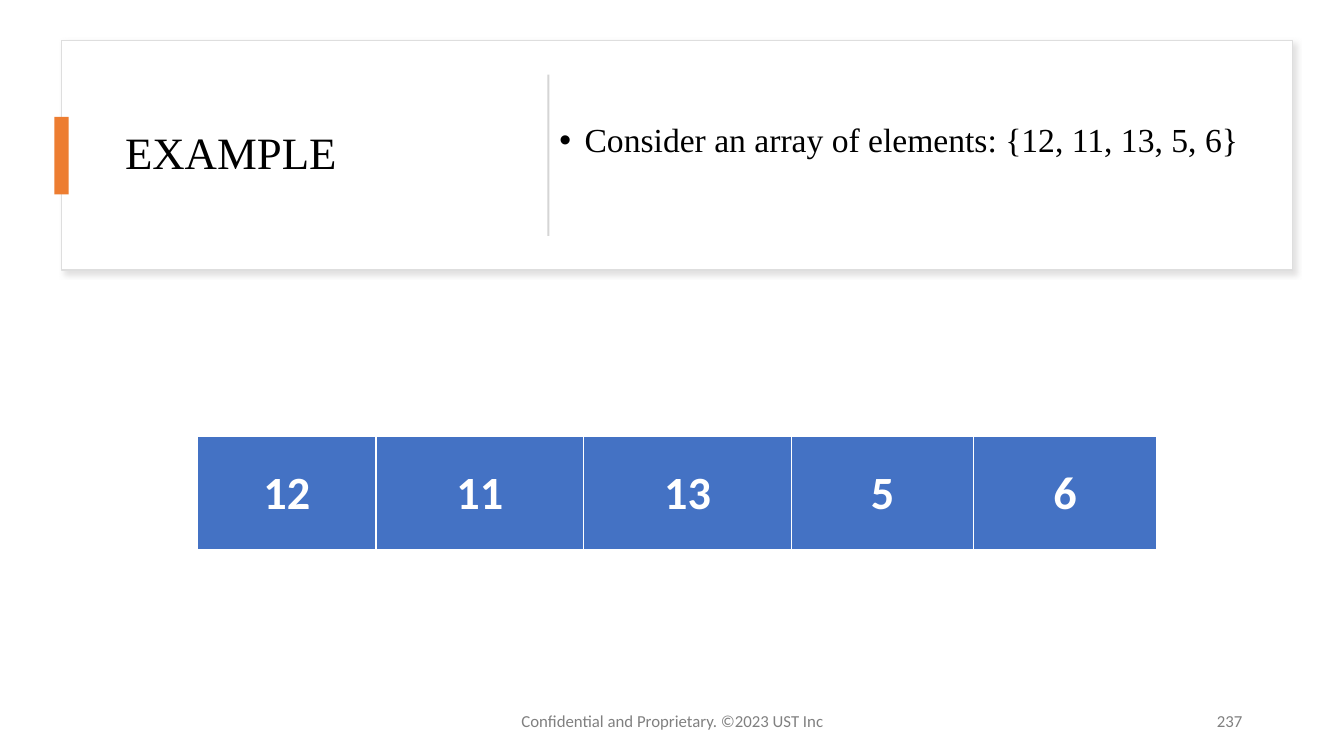
import pptx
import pptx.dml.color
import pptx.enum.shapes
import pptx.enum.text
import pptx.oxml
import pptx.oxml.ns
import pptx.util
from pptx.util import Inches

RGBColor = pptx.dml.color.RGBColor
ALIGN = pptx.enum.text.PP_ALIGN
MIDDLE = pptx.enum.text.MSO_ANCHOR.MIDDLE
BLACK = RGBColor(0x00, 0x00, 0x00)
WHITE = RGBColor(0xFF, 0xFF, 0xFF)
GRAY = RGBColor(0x80, 0x80, 0x80)
PANEL_LINE = RGBColor(0xDE, 0xDE, 0xDE)
DIVIDER = RGBColor(0xD5, 0xD5, 0xD5)
ORANGE = RGBColor(0xED, 0x7D, 0x31)
BLUE = RGBColor(0x44, 0x72, 0xC4)
NAMESPACE = pptx.oxml.ns.nsdecls("a")


def add_rectangle(left, top, width, height, color):
    shape = slide.shapes.add_shape(
        pptx.enum.shapes.MSO_SHAPE.RECTANGLE,
        Inches(left), Inches(top), Inches(width), Inches(height))
    shape.shadow.inherit = False
    shape.fill.solid()
    shape.fill.fore_color.rgb = color
    shape.line.fill.background()
    return shape


def write_text(frame, text, font_name, size, color, align, bold=False):
    frame.word_wrap = True
    frame.vertical_anchor = MIDDLE
    frame.text = text
    para = frame.paragraphs[0]
    para.alignment = align
    font = para.runs[0].font
    font.name = font_name
    font.size = pptx.util.Pt(size)
    font.bold = bold
    font.color.rgb = color
    return para


deck = pptx.Presentation()
deck.slide_width = Inches(13.33)
deck.slide_height = Inches(7.5)
slide = deck.slides.add_slide(deck.slide_layouts[5])

# Header panel with a soft shadow
panel = add_rectangle(0.61, 0.4, 12.21, 2.28, WHITE)
panel.line.color.rgb = PANEL_LINE
panel.line.width = pptx.util.Pt(1)
effects = panel._element.spPr.find(pptx.oxml.ns.qn("a:effectLst"))
effects.append(pptx.oxml.parse_xml(
    f'<a:outerShdw {NAMESPACE} blurRad="50800" dist="38100" dir="2700000" '
    'algn="tl" rotWithShape="0"><a:srgbClr val="C5C3C3">'
    '<a:alpha val="50000"/></a:srgbClr></a:outerShdw>'))

# Accent bar and divider
add_rectangle(0.54, 1.16, 0.14, 0.77, ORANGE)
add_rectangle(5.43, 0.74, 0.02, 1.6, DIVIDER)

# Title, moved in front of the panel
title = slide.shapes.title
title.left, title.top = Inches(1.14), Inches(0.64)
title.width, title.height = Inches(3.89), Inches(1.8)
para = write_text(title.text_frame, "EXAMPLE", "Times New Roman", 32, BLACK, ALIGN.LEFT)
para.line_spacing = 0.9
slide.shapes._spTree.append(title._element)

# Bulleted statement, set slightly above the middle of the panel
statement = slide.shapes.add_textbox(Inches(5.45), Inches(0.64), Inches(6.96), Inches(1.8))
statement.text_frame.margin_bottom = Inches(0.31)
para = write_text(statement.text_frame, "Consider an array of elements: {12, 11, 13, 5, 6}",
                  "Times New Roman", 24, BLACK, ALIGN.LEFT)
para.line_spacing = 0.9
properties = para._p.get_or_add_pPr()
properties.set("marL", str(Inches(0.25)))
properties.set("indent", str(Inches(-0.25)))
properties.append(pptx.oxml.parse_xml(f'<a:buFont {NAMESPACE} typeface="Arial"/>'))
properties.append(pptx.oxml.parse_xml(f'<a:buChar {NAMESPACE} char="•"/>'))

# Array table
values = ["12", "11", "13", "5", "6"]
widths = [1.77, 2.06, 2.06, 1.81, 1.81]
table = slide.shapes.add_table(1, len(values), Inches(1.96), Inches(4.33),
                               Inches(sum(widths)), Inches(1.14)).table
table.rows[0].height = Inches(1.14)
for column, (value, width) in enumerate(zip(values, widths)):
    table.columns[column].width = Inches(width)
    cell = table.cell(0, column)
    side_margin = 0.25 if column else 0.1
    cell.margin_left = cell.margin_right = Inches(side_margin)
    cell.margin_top = cell.margin_bottom = Inches(0.25)
    cell.vertical_anchor = MIDDLE
    write_text(cell.text_frame, value, "Calibri", 33, WHITE, ALIGN.CENTER, True)
    for side, points in (("L", 1), ("R", 1), ("T", 1), ("B", 3)):
        cell._tc.get_or_add_tcPr().append(pptx.oxml.parse_xml(
            f'<a:ln{side} {NAMESPACE} w="{pptx.util.Pt(points)}"><a:solidFill>'
            f'<a:srgbClr val="{WHITE}"/></a:solidFill></a:ln{side}>'))
    cell.fill.solid()
    cell.fill.fore_color.rgb = BLUE

# Footer and page number
for text, left, width, align in (
        ("Confidential and Proprietary. ©2023 UST Inc", 4.42, 4.5, ALIGN.CENTER),
        ("237", 9.42, 3, ALIGN.RIGHT)):
    box = slide.shapes.add_textbox(Inches(left), Inches(6.95), Inches(width), Inches(0.4))
    para = write_text(box.text_frame, text, "Calibri", 12, GRAY, align)
    para.space_after = pptx.util.Pt(6)

deck.save("out.pptx")
